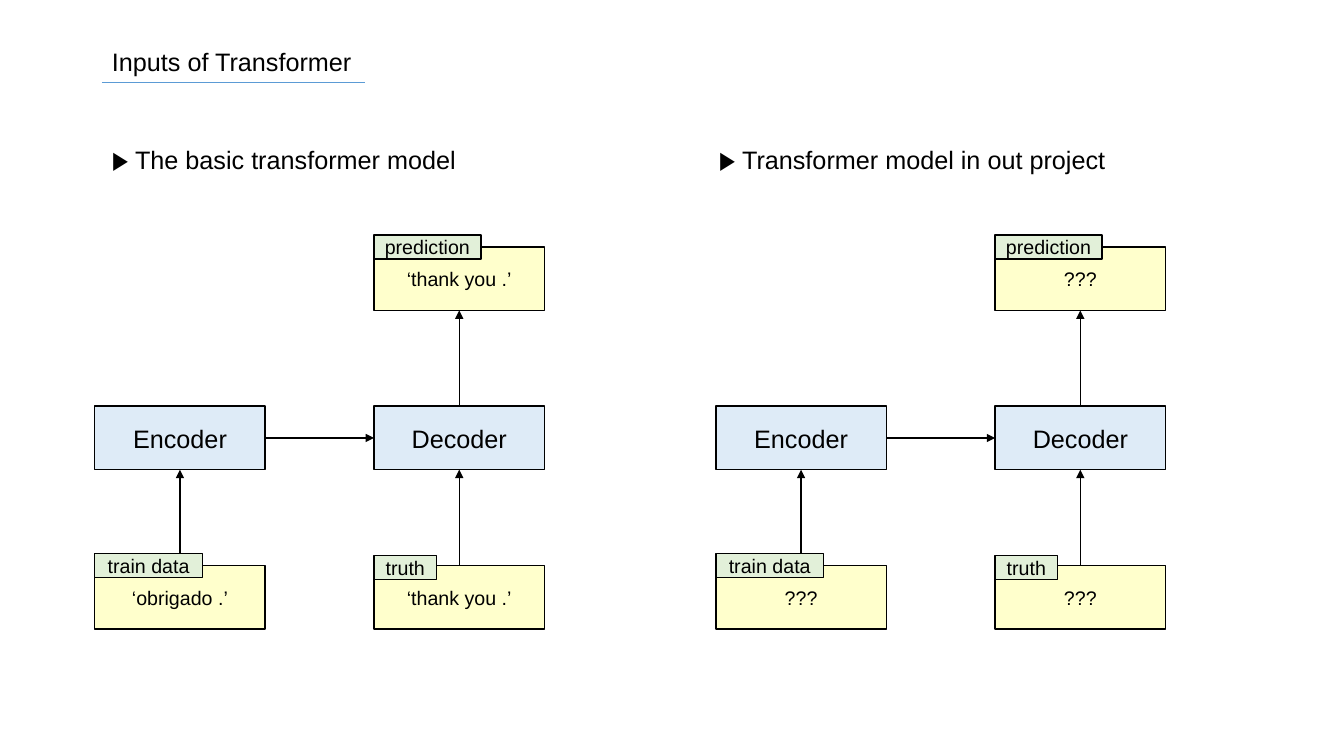
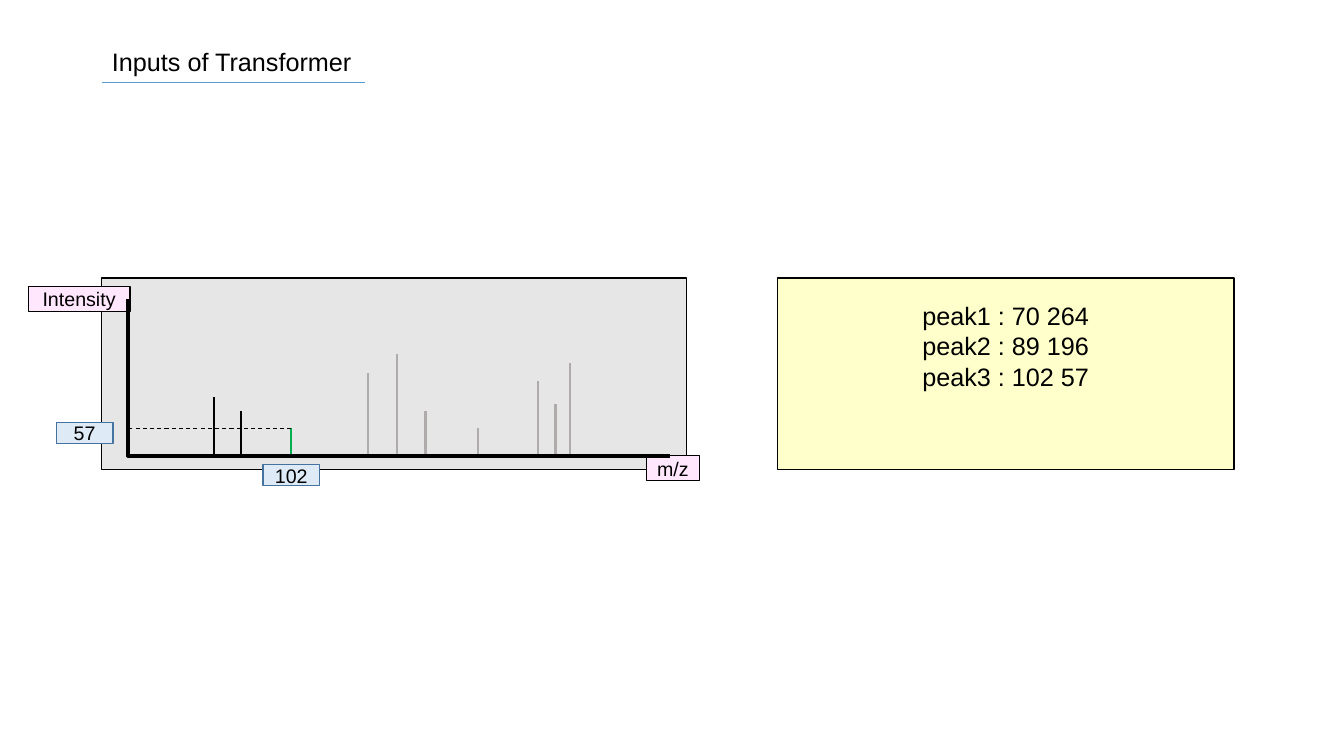
"""Build two slides about the inputs of a transformer model."""
from dataclasses import dataclass
from typing import NamedTuple

from lxml.etree import SubElement
from pptx import Presentation
from pptx.dml.color import RGBColor
from pptx.enum.dml import MSO_LINE_DASH_STYLE as Dash
from pptx.enum.shapes import MSO_AUTO_SHAPE_TYPE as Form, MSO_CONNECTOR as Wire
from pptx.enum.text import MSO_ANCHOR as Anchor, MSO_AUTO_SIZE as Fit, PP_ALIGN as Align
from pptx.oxml.ns import qn
from pptx.shapes.autoshape import Shape
from pptx.shapes.connector import Connector
from pptx.slide import Slide
from pptx.text.text import TextFrame
from pptx.util import Pt

PX = 9144


@dataclass(frozen=True)
class Theme:
    font: str = "Arial"
    large: int = 18
    small: int = 14
    ink: str = "000000"
    rule: str = "5B9BD5"
    model: str = "DEEBF7"
    data: str = "FFFFCC"
    tag: str = "E2F0D9"
    axis: str = "FFE7FD"
    plot: str = "E7E6E6"
    edge: str = "43739E"
    faint: str = "AFABAB"
    mark: str = "00B050"


class Rect(NamedTuple):
    left: int
    top: int
    width: int
    height: int


class Flow(NamedTuple):
    left: int
    head: Rect
    title: str
    source: str
    target: str


class Peak(NamedTuple):
    left: int
    top: int
    color: str
    base: int = 452


class Label(NamedTuple):
    rect: Rect
    text: str
    fill: str
    edge: str


THEME = Theme()
TITLE = "Inputs of Transformer"
BOX_W, BOX_H, STEP = 169, 63, 277
TOP, MID, LOW = 245, 403, 561
FLOWS = (
    Flow(94, Rect(101, 138, 401, 40), "▶ The basic transformer model",
         "‘obrigado .’", "‘thank you .’"),
    Flow(710, Rect(703, 138, 501, 40), "▶ Transformer model in out project",
         "???", "???"),
)
PEAKS = (
    Peak(212, 394, THEME.ink), Peak(239, 408, THEME.ink), Peak(289, 425, THEME.mark),
    Peak(365, 370, THEME.faint), Peak(394, 351, THEME.faint),
    Peak(422, 408, THEME.faint), Peak(474, 425, THEME.faint),
    Peak(534, 378, THEME.faint), Peak(551, 401, THEME.faint, 450),
    Peak(565, 360, THEME.faint),
)
NAMES = (
    Label(Rect(28, 284, 101, 25), "Intensity", THEME.axis, THEME.ink),
    Label(Rect(641, 452, 53, 25), "m/z", THEME.axis, THEME.ink),
)
VALUES = (
    Label(Rect(56, 419, 56, 21), "57", THEME.model, THEME.edge),
    Label(Rect(261, 461, 56, 21), "102", THEME.model, THEME.edge),
)
LIST = "peak1 : 70 264\npeak2 : 89 196\npeak3 : 102 57"


def write(frame: TextFrame, text: str, size: int, align: Align) -> None:
    """Set the text of a frame and format its runs."""
    frame.text = text
    frame.word_wrap = True
    for par in frame.paragraphs:
        par.alignment = align
        for run in par.runs:
            run.font.name = THEME.font
            run.font.size = Pt(size)
            run.font.color.rgb = RGBColor.from_string(THEME.ink)


def paint(shape: Shape, fill: str, edge: str) -> None:
    """Give a shape its fill and outline."""
    shape.fill.solid()
    shape.fill.fore_color.rgb = RGBColor.from_string(fill)
    shape.line.color.rgb = RGBColor.from_string(edge)
    shape.line.width = Pt(1)


def place(shape: Shape, rect: Rect, text: str, align: Align = Align.LEFT) -> None:
    """Move a placeholder and set plain text in it without bullets."""
    shape.left, shape.top, shape.width, shape.height = (n * PX for n in rect)
    frame = shape.text_frame
    write(frame, text, THEME.large, align)
    frame.auto_size = Fit.NONE
    frame.vertical_anchor = Anchor.TOP
    for par in frame.paragraphs:
        par.space_before = Pt(0)
        props = par._p.get_or_add_pPr()
        props.set("marL", "0")
        props.set("indent", "0")
        SubElement(props, qn("a:buNone"))


def box(slide: Slide, rect: Rect, fill: str, text: str = "",
        size: int = THEME.small, edge: str = THEME.ink) -> Shape:
    """Draw a rectangle with centred text."""
    shape = slide.shapes.add_shape(Form.RECTANGLE, *(n * PX for n in rect))
    shape.shadow.inherit = False
    paint(shape, fill, edge)
    if text:
        frame = shape.text_frame
        write(frame, text, size, Align.CENTER)
        frame.vertical_anchor = Anchor.MIDDLE
        frame.margin_left = frame.margin_right = 0
        frame.margin_top = frame.margin_bottom = 0
    return shape


def line(slide: Slide, start: tuple[int, int], end: tuple[int, int], color: str,
         width: float, kind: Wire = Wire.STRAIGHT) -> Connector:
    """Draw a line without a shadow."""
    wire = slide.shapes.add_connector(kind, *(n * PX for n in start + end))
    wire.line.color.rgb = RGBColor.from_string(color)
    wire.line.width = Pt(width)
    SubElement(wire.element.spPr, qn("a:effectLst"))
    return wire


def arrow(slide: Slide, first: Shape, out: int, last: Shape, into: int) -> None:
    """Join two boxes with an arrow from site to site."""
    wire = line(slide, (0, 0), (0, 0), THEME.ink, 1)
    wire.begin_connect(first, out)
    wire.end_connect(last, into)
    SubElement(wire.line._get_or_add_ln(), qn("a:tailEnd"), type="triangle")


def start(deck: Presentation, layout: int) -> Slide:
    """Add a slide with the shared title and its rule."""
    slide = deck.slides.add_slide(deck.slide_layouts[layout])
    place(slide.shapes.title, Rect(101, 41, 569, 40), TITLE)
    line(slide, (101, 82), (362, 82), THEME.rule, 0.5)
    return slide


def model(slide: Slide, flow: Flow) -> None:
    """Draw the encoder and decoder with their inputs and output."""
    left, right = flow.left, flow.left + STEP

    def block(x: int, y: int, fill: str, text: str, size: int) -> Shape:
        """Draw one box of the grid."""
        return box(slide, Rect(x, y, BOX_W, BOX_H), fill, text, size)

    coder = block(left, MID, THEME.model, "Encoder", THEME.large)
    maker = block(right, MID, THEME.model, "Decoder", THEME.large)
    train = block(left, LOW, THEME.data, flow.source, THEME.small)
    truth = block(right, LOW, THEME.data, flow.target, THEME.small)
    guess = block(right, TOP, THEME.data, flow.target, THEME.small)
    arrow(slide, coder, 3, maker, 1)
    for low, high in ((train, coder), (truth, maker), (maker, guess)):
        arrow(slide, low, 0, high, 2)
    for x, y, width, text in ((left, LOW - 12, 107, "train data"),
                              (right, LOW - 10, 62, "truth"),
                              (right, TOP - 12, 106, "prediction")):
        box(slide, Rect(x, y, width, 24), THEME.tag, text)


def label(slide: Slide, items: tuple[Label, ...]) -> None:
    """Draw a set of small labels."""
    for item in items:
        box(slide, item.rect, item.fill, item.text, edge=item.edge)


def chart(slide: Slide) -> None:
    """Draw the spectrum with its axes, peaks and labels."""
    box(slide, Rect(101, 276, 580, 190), THEME.plot)
    label(slide, NAMES)
    for peak in PEAKS:
        line(slide, (peak.left, peak.top), (peak.left, peak.base), peak.color, 1.5)
    axes = line(slide, (127, 297), (665, 452), THEME.ink, 3, Wire.ELBOW)
    bend = next(axes.element.iter(qn("a:avLst")))
    SubElement(bend, qn("a:gd"), name="adj1", fmla="val 0")
    guide = line(slide, (289, 425), (127, 425), THEME.ink, 0.75)
    guide.line.dash_style = Dash.DASH
    label(slide, VALUES)


def main() -> None:
    """Build and save the deck."""
    deck = Presentation()
    deck.slide_width, deck.slide_height = 1333 * PX, 750 * PX

    slide = start(deck, 3)
    for spot, flow in enumerate(FLOWS, 1):
        place(slide.placeholders[spot], flow.head, flow.title)
        model(slide, flow)

    slide = start(deck, 1)
    chart(slide)
    peaks = slide.placeholders[1]
    place(peaks, Rect(771, 276, 453, 190), LIST, Align.CENTER)
    paint(peaks, THEME.data, THEME.ink)
    peaks.text_frame.margin_top = 22 * PX

    deck.save("out.pptx")


if __name__ == "__main__":
    main()
